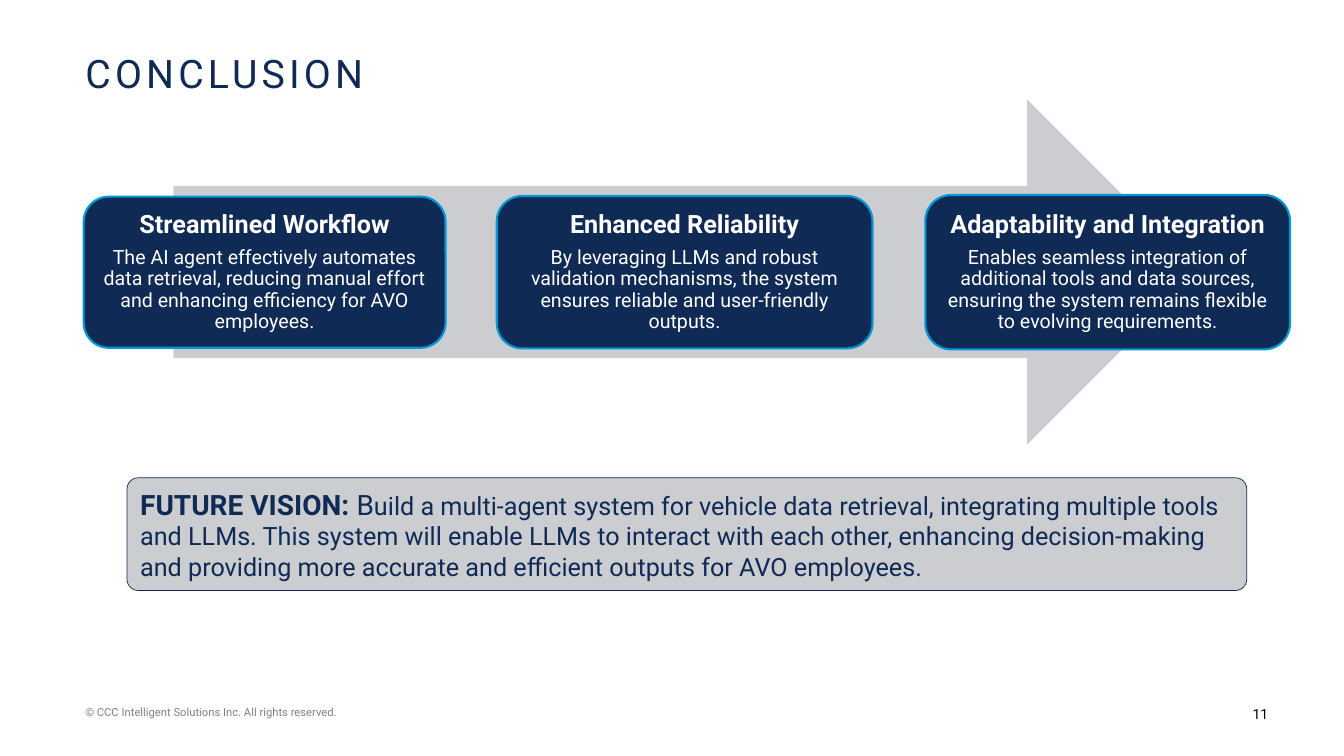
from pptx import Presentation
from pptx.dml.color import RGBColor
from pptx.enum.shapes import MSO_SHAPE
from pptx.enum.text import MSO_ANCHOR, MSO_AUTO_SIZE, PP_ALIGN
from pptx.util import Cm, Pt

NAVY = RGBColor(0x0F, 0x2A, 0x55)
BLUE = RGBColor(0x00, 0x97, 0xD6)
SILVER = RGBColor(0xCC, 0xCD, 0xD1)
GRAY = RGBColor(0x80, 0x80, 0x80)
BLACK = RGBColor(0, 0, 0)
WHITE = RGBColor(0xFF, 0xFF, 0xFF)
FONT = "Roboto"
MID = 6.86  # centre line of the arrow and cards, cm

# left, width, height (cm), heading, body
CARDS = [
    (2.11, 9.12, 3.81, "Streamlined Workflow",
     "The AI agent effectively automates data retrieval, reducing manual "
     "effort and enhancing efficiency for AVO employees."),
    (12.52, 9.47, 3.84, "Enhanced Reliability",
     "By leveraging LLMs and robust validation mechanisms, the system "
     "ensures reliable and user-friendly outputs."),
    (23.32, 9.19, 3.89, "Adaptability and Integration",
     "Enables seamless integration of additional tools and data sources, "
     "ensuring the system remains flexible to evolving requirements."),
]
VISION = (
    "uild a multi-agent system for vehicle data retrieval, integrating "
    "multiple tools and LLMs. This system will enable LLMs to interact with "
    "each other, enhancing decision-making and providing more accurate and "
    "efficient outputs for AVO employees."
)


def add_run(para, text, size, color, bold=False):
    run = para.add_run()
    run.text = text
    font = run.font
    font.name, font.size, font.bold = FONT, Pt(size), bold
    font.color.rgb = color
    return run


def add_title(slide, text):
    title = slide.shapes.title
    title.left, title.top = Cm(1.9), Cm(1.24)
    title.width, title.height = Cm(30.05), Cm(2.54)
    frame = title.text_frame
    frame.auto_size = MSO_AUTO_SIZE.NONE
    frame.vertical_anchor = MSO_ANCHOR.TOP
    para = frame.paragraphs[0]
    para.alignment = PP_ALIGN.LEFT
    para.line_spacing = 0.9
    para.space_before = Pt(0)
    run = add_run(para, text, 28, NAVY)
    run._r.get_or_add_rPr().set("spc", "300")  # wide letter spacing


def add_box(slide, kind, left, top, width, height, fill, line=None, weight=1):
    box = slide.shapes.add_shape(
        kind, Cm(left), Cm(top), Cm(width), Cm(height))
    box.shadow.inherit = False
    box.fill.solid()
    box.fill.fore_color.rgb = fill
    if line is None:
        box.line.fill.background()
    else:
        box.line.color.rgb = line
        box.line.width = Pt(weight)
    return box


def add_card(slide, left, width, height, head, body):
    card = add_box(slide, MSO_SHAPE.ROUNDED_RECTANGLE, left, MID - height / 2,
                   width, height, NAVY, BLUE, 1.5)
    frame = card.text_frame
    frame.word_wrap = True
    frame.margin_left = frame.margin_right = Cm(0.18)
    frame.margin_top = frame.margin_bottom = Cm(0.18)
    top, low = frame.paragraphs[0], frame.add_paragraph()
    for para in (top, low):
        para.alignment = PP_ALIGN.CENTER
        para.line_spacing = 0.9
    top.space_after = Pt(6.3)
    add_run(top, head, 18, WHITE, True)
    add_run(low, body, 14, WHITE)


def add_vision(slide):
    box = add_box(slide, MSO_SHAPE.ROUNDED_RECTANGLE, 3.2, 12.04, 28.22, 2.84,
                  SILVER, NAVY, 0.5)
    box.adjustments[0] = 0.1
    box.text_frame.word_wrap = True
    para = box.text_frame.paragraphs[0]
    para.alignment = PP_ALIGN.LEFT
    add_run(para, "FUTURE VISION: ", 20, NAVY, True)
    add_run(para, "B", 20, NAVY)
    add_run(para, VISION, 18, NAVY)


def add_note(slide, left, width, text, size, color, align):
    box = slide.shapes.add_textbox(Cm(left), Cm(17.65), Cm(width), Cm(1.02))
    box.text_frame.word_wrap = True
    para = box.text_frame.paragraphs[0]
    para.alignment = align
    add_run(para, text, size, color)


def main():
    deck = Presentation()
    deck.slide_width, deck.slide_height = Cm(33.87), Cm(19.05)
    slide = deck.slides.add_slide(deck.slide_layouts[5])

    # Title
    add_title(slide, "CONCLUSION")

    # Arrow with the three cards
    add_box(slide, MSO_SHAPE.RIGHT_ARROW, 4.37, 2.51, 25.86, 8.69, SILVER)
    for card in CARDS:
        add_card(slide, *card)

    # Outlook
    add_vision(slide)

    # Footer
    add_note(slide, 1.9, 11.43,
             "© CCC Intelligent Solutions Inc. All rights reserved.",
             8, GRAY, PP_ALIGN.LEFT)
    add_note(slide, 24.59, 7.62, "11", 10, BLACK, PP_ALIGN.RIGHT)

    deck.save("out.pptx")


if __name__ == "__main__":
    main()
